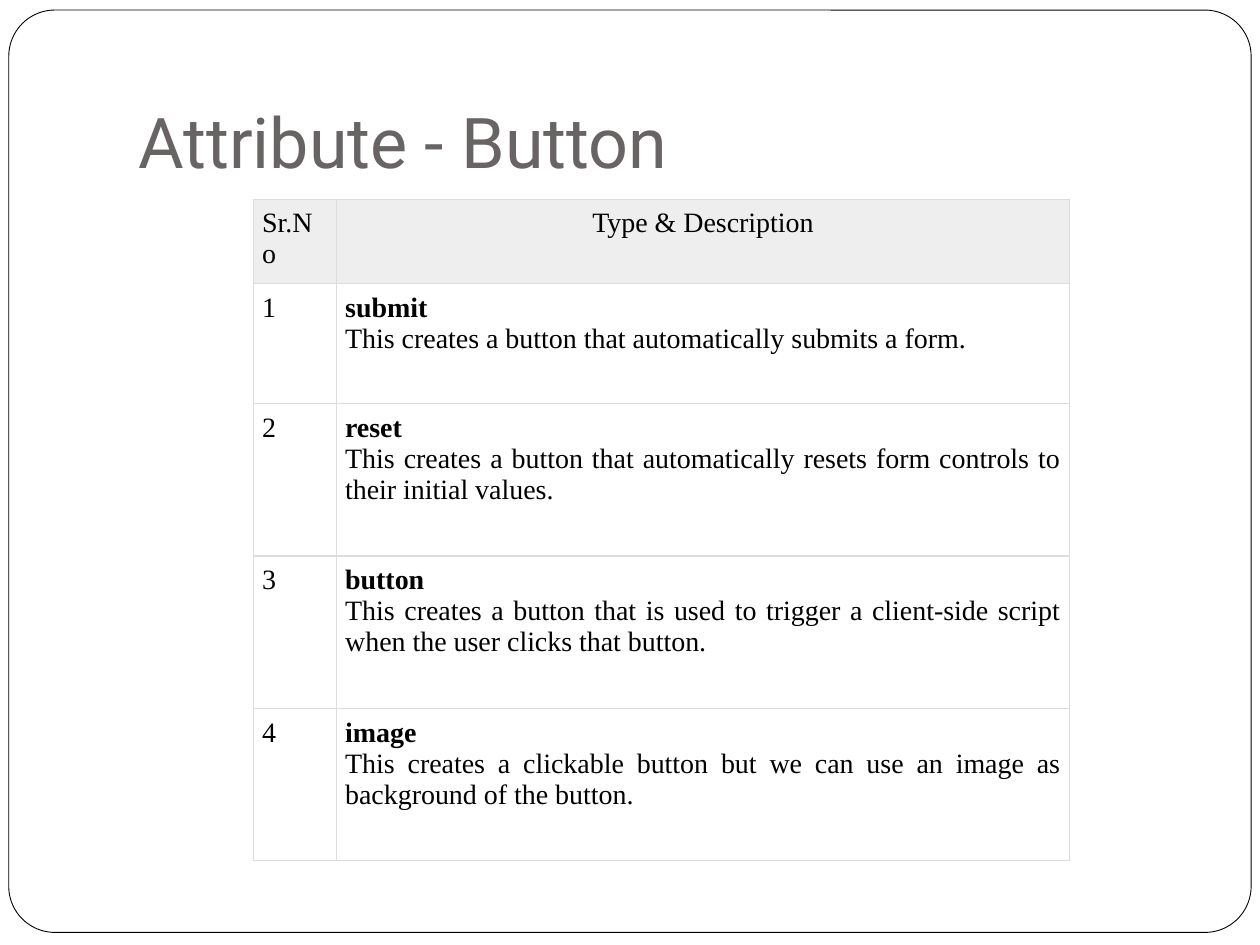
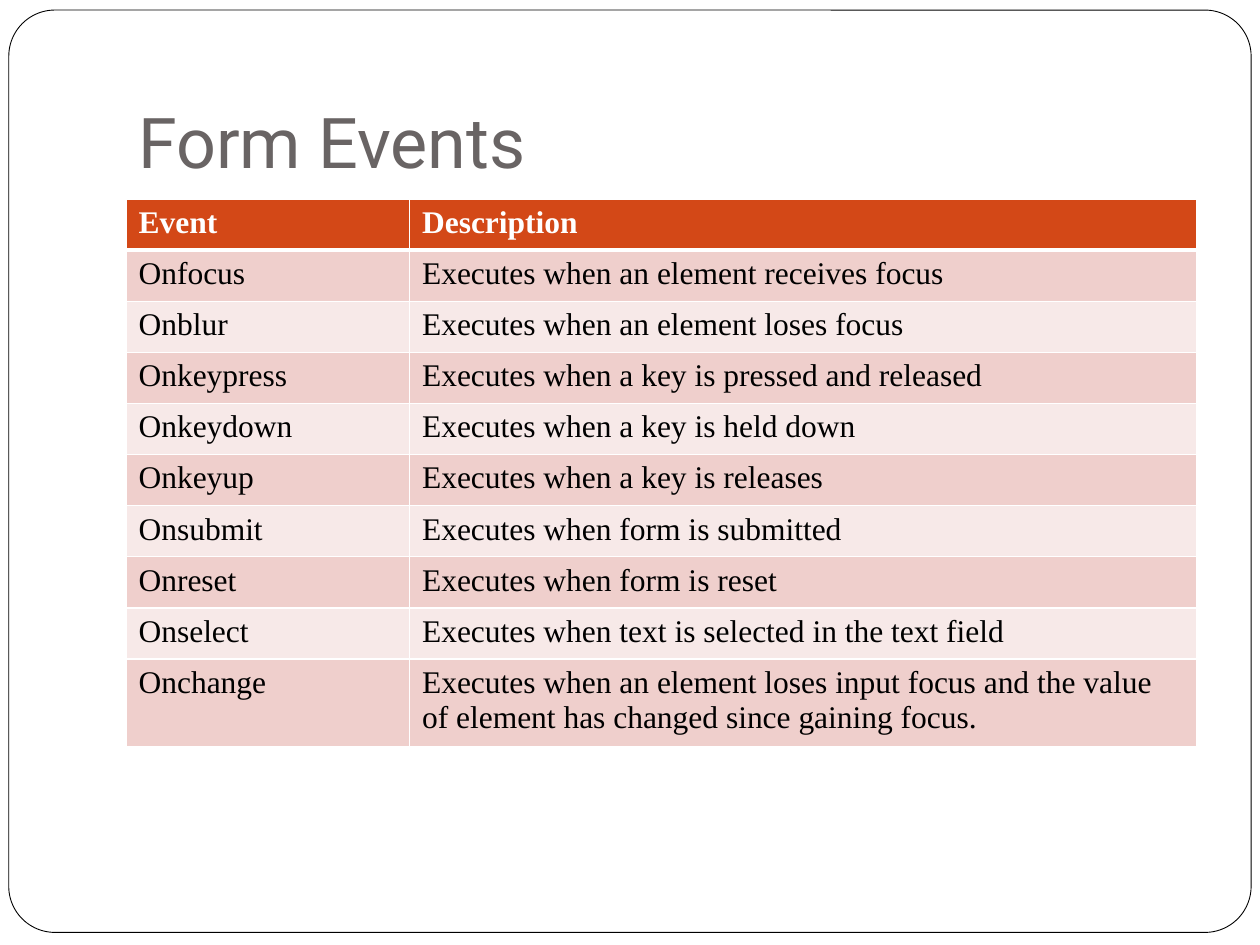
import dataclasses

import lxml.etree
import pptx
import pptx.dml.color
import pptx.enum.shapes
import pptx.enum.text
import pptx.oxml.ns
import pptx.util

BUTTON_TITLE = "Attribute - Button"
BUTTON_HEADER = ("Sr.No", "Type & Description")
BUTTON_TYPES = [
    ("submit", "This creates a button that automatically submits a form."),
    ("reset", "This creates a button that automatically resets form controls to their initial values."),
    ("button", "This creates a button that is used to trigger a client-side script "
               "when the user clicks that button."),
    ("image", "This creates a clickable button but we can use an image as background of the button."),
]

EVENTS_TITLE = "Form Events"
EVENTS_HEADER = ("Event", "Description")
EVENTS = [
    ("Onfocus", "Executes when an element receives focus"),
    ("Onblur", "Executes when an element loses focus"),
    ("Onkeypress", "Executes when a key is pressed and released"),
    ("Onkeydown", "Executes when a key is held down"),
    ("Onkeyup", "Executes when a key is releases"),
    ("Onsubmit", "Executes when form is submitted"),
    ("Onreset", "Executes when form is reset"),
    ("Onselect", "Executes when text is selected in the text field"),
    ("Onchange", "Executes when an element loses input focus and the value of element "
                 "has changed since gaining focus."),
]


@dataclasses.dataclass(frozen=True)
class Theme:
    title_font: str = "Roboto"
    body_font: str = "Times New Roman"
    title_size: int = 40
    button_size: int = 16
    event_size: int = 18
    title: str = "696464"
    ink: str = "000000"
    paper: str = "FFFFFF"
    grid: str = "DDDDDD"
    grey_head: str = "EEEEEE"
    accent: str = "D34817"
    bands: tuple = ("EFCFCC", "F7E9E8")


THEME = Theme()
WIDTH, HEIGHT = 10, 7.5
LEFT, CONTENT_WIDTH = 0.1 * WIDTH, 0.85 * WIDTH
TITLE_TOP, TITLE_HEIGHT = 0.3, 1.25
TABLE_TOP = 1.58
ONE_LINE = 29.2 / 72
TWO_LINES = 0.65
ALIGN = pptx.enum.text.PP_ALIGN


def inches(*lengths):
    return [pptx.util.Inches(length) for length in lengths]


def rgb(code):
    return pptx.dml.color.RGBColor.from_string(code)


def style(para, font, size, color, bold=False, align=ALIGN.LEFT):
    para.alignment = align
    for span in para.runs:
        span.font.name = font
        span.font.size = pptx.util.Pt(size)
        span.font.bold = bold
        span.font.color.rgb = rgb(color)


def set_margins(target, left, top, right, bottom):
    (target.margin_left, target.margin_top,
     target.margin_right, target.margin_bottom) = inches(left, top, right, bottom)


def add_page(deck, title):
    """Add a slide with the rounded frame and its title."""
    page = deck.slides.add_slide(deck.slide_layouts[6])
    frame = page.shapes.add_shape(pptx.enum.shapes.MSO_SHAPE.ROUNDED_RECTANGLE,
                                  *inches(0.07, 0.08, WIDTH - 0.14, HEIGHT - 0.18))
    frame.adjustments[0] = 0.05
    frame.shadow.inherit = False
    frame.fill.solid()
    frame.fill.fore_color.rgb = rgb(THEME.paper)
    frame.line.color.rgb = rgb(THEME.ink)
    frame.line.width = pptx.util.Pt(0.5)

    box = page.shapes.add_textbox(*inches(LEFT, TITLE_TOP, CONTENT_WIDTH, TITLE_HEIGHT))
    text = box.text_frame
    text.word_wrap = True
    text.vertical_anchor = pptx.enum.text.MSO_ANCHOR.BOTTOM
    set_margins(text, 0.1, 0.05, 0.1, 0.1)
    text.text = title
    style(text.paragraphs[0], THEME.title_font, THEME.title_size, THEME.title)
    return page


def add_table(page, left, columns, rows):
    """Add a table without the effects of its default style."""
    table = page.shapes.add_table(len(rows), len(columns), *inches(
        left, TABLE_TOP, sum(columns), sum(rows))).table
    table.first_row = table.horz_banding = False
    for column, width in zip(table.columns, columns):
        column.width = pptx.util.Inches(width)
    for row, height in zip(table.rows, rows):
        row.height = pptx.util.Inches(height)
    return table


def set_borders(cell, color, left=1, right=1, top=1, bottom=1):
    """Draw the four cell edges; must come before the cell fill."""
    properties = cell._tc.get_or_add_tcPr()
    qn = pptx.oxml.ns.qn
    for side, points in zip("LRTB", (left, right, top, bottom)):
        edge = lxml.etree.SubElement(properties, qn(f"a:ln{side}"), w=str(pptx.util.Pt(points)))
        fill = lxml.etree.SubElement(edge, qn("a:solidFill"))
        lxml.etree.SubElement(fill, qn("a:srgbClr"), val=color)


def set_fill(cell, color):
    if color is None:
        cell.fill.background()
    else:
        cell.fill.solid()
        cell.fill.fore_color.rgb = rgb(color)


def build_button_page(deck):
    page = add_page(deck, BUTTON_TITLE)
    table = add_table(page, 2.01, (0.66, 5.82), (0.64, 0.95, 1.21, 1.21, 1.21))
    rows = [BUTTON_HEADER] + [(str(number), "\n".join(entry))
                              for number, entry in enumerate(BUTTON_TYPES, 1)]
    for r, row in enumerate(rows):
        for c, words in enumerate(row):
            cell = table.cell(r, c)
            set_margins(cell, 0.07, 0.07, 0.07 if c else 0.09, 0.07)
            set_borders(cell, THEME.grid, *[0.75] * 4)
            set_fill(cell, None if r else THEME.grey_head)
            cell.text_frame.text = words
            align = ALIGN.LEFT if c == 0 else ALIGN.JUSTIFY if r else ALIGN.CENTER
            for p, para in enumerate(cell.text_frame.paragraphs):
                is_name = r > 0 and c == 1 and p == 0
                style(para, THEME.body_font, THEME.button_size, THEME.ink, is_name, align)


def build_events_page(deck):
    page = add_page(deck, EVENTS_TITLE)
    rows = [EVENTS_HEADER] + EVENTS
    heights = [ONE_LINE] * (len(rows) - 1) + [TWO_LINES]
    table = add_table(page, LEFT, (2.25, CONTENT_WIDTH - 2.25), heights)
    for r, row in enumerate(rows):
        is_head = r == 0
        for c, words in enumerate(row):
            cell = table.cell(r, c)
            set_borders(cell, THEME.paper, top=3 if r == 1 else 1, bottom=3 if is_head else 1)
            set_fill(cell, THEME.accent if is_head else THEME.bands[(r - 1) % 2])
            cell.text_frame.text = words
            style(cell.text_frame.paragraphs[0], THEME.body_font, THEME.event_size,
                  THEME.paper if is_head else THEME.ink, is_head)


def main():
    deck = pptx.Presentation()
    deck.slide_width, deck.slide_height = inches(WIDTH, HEIGHT)
    build_button_page(deck)
    build_events_page(deck)
    deck.save("out.pptx")


if __name__ == "__main__":
    main()
